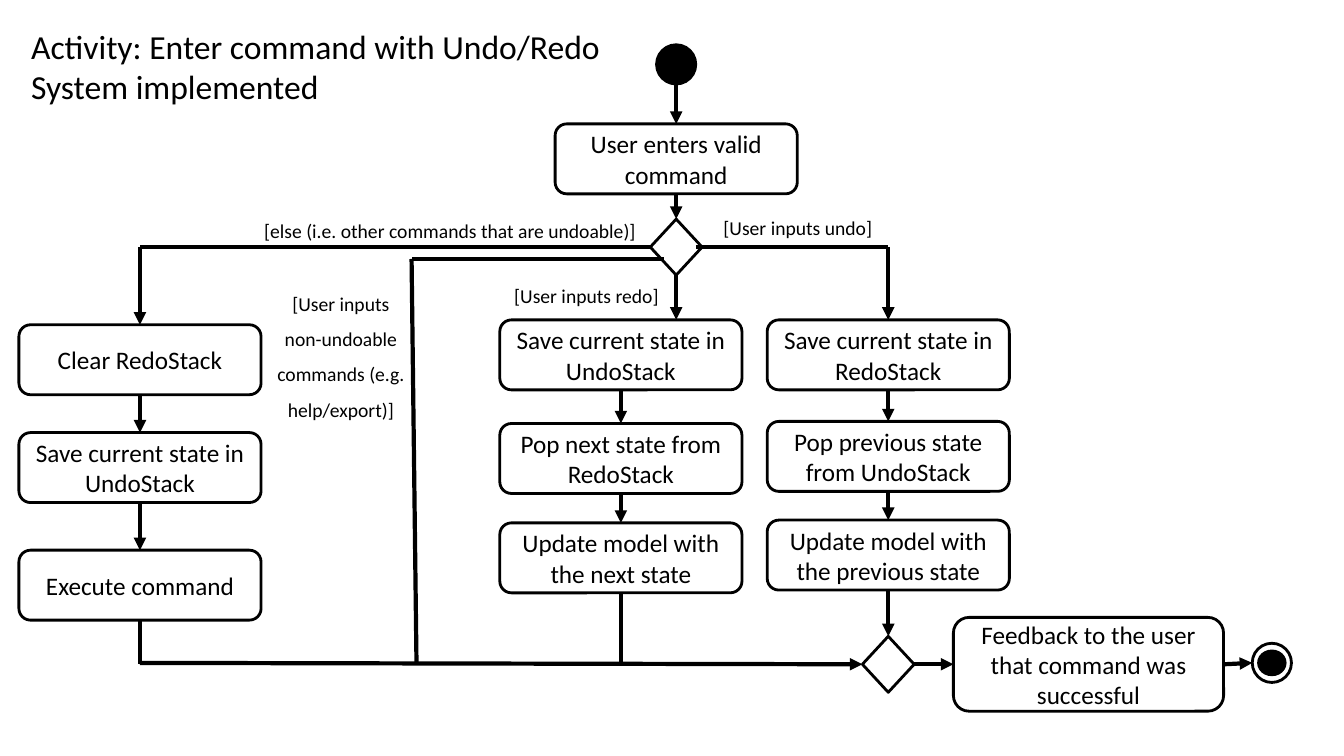
from dataclasses import dataclass

from lxml import etree
from pptx import Presentation
from pptx.dml.color import RGBColor
from pptx.enum.shapes import MSO_CONNECTOR, MSO_SHAPE
from pptx.enum.text import MSO_ANCHOR, MSO_AUTO_SIZE, PP_ALIGN
from pptx.oxml.ns import qn
from pptx.util import Pt

STRAIGHT = MSO_CONNECTOR.STRAIGHT
ROUNDED = MSO_SHAPE.ROUNDED_RECTANGLE
DIAMOND = MSO_SHAPE.FLOWCHART_DECISION
OVAL = MSO_SHAPE.OVAL
LEFT, CENTER = PP_ALIGN.LEFT, PP_ALIGN.CENTER
TOP, MIDDLE = MSO_ANCHOR.TOP, MSO_ANCHOR.MIDDLE
NO_AUTOFIT = MSO_AUTO_SIZE.NONE
TITLE_ONLY = 5


@dataclass(frozen=True)
class Theme:
    ink: RGBColor = RGBColor(0, 0, 0)
    font: str = "Calibri"
    title: int = 24
    action: int = 18
    guard: int = 14
    outline: int = 2
    flow: int = 3


THEME = Theme()
ACTION_W, ACTION_H = 173, 50
DIAMOND_W, DIAMOND_H = 37, 40
NODE = 28

MAIN_X, CLEAR_X, REDO_X, UNDO_X = 483, 100, 443.5, 634.5
BYPASS_TOP_X, BYPASS_END_X = 294, 297.5
START_Y, ENTER_Y, CHOICE_Y = 46, 113.5, 176.5
BYPASS_Y, JOIN_Y, MERGE_Y = 185, 473.5, 474.5
FEEDBACK_X, FEEDBACK_W, FEEDBACK_H = 777.5, 193, 67
END_X, END_Y = 908.5, 473.5

COLUMNS = [
    (CLEAR_X, [(232, "Clear RedoStack"),
               (309, "Save current state in UndoStack"),
               (393, "Execute command")]),
    (REDO_X, [(228.5, "Save current state in UndoStack"),
              (302.5, "Pop next state from RedoStack"),
              (373.5, "Update model with the next state")]),
    (UNDO_X, [(228.5, "Save current state in RedoStack"),
              (301, "Pop previous state from UndoStack"),
              (371.5, "Update model with the previous state")]),
]

GUARDS = [
    ("[else (i.e. other commands that are undoable)]", 140.5, 144.5, 362, 30),
    ("[User inputs non-undoable commands (e.g. help/export)]", 188.5, 196.5, 110, 107),
    ("[User inputs redo]", 336, 191, 166, 30),
    ("[User inputs undo]", 477.5, 142.5, 185, 30),
]


def write(frame, text, size=THEME.action, align=CENTER, anchor=MIDDLE, spacing=1.0):
    frame.word_wrap = True
    frame.auto_size = NO_AUTOFIT
    frame.vertical_anchor = anchor
    frame.text = text
    for paragraph in frame.paragraphs:
        paragraph.alignment = align
        paragraph.line_spacing = spacing
        paragraph.font.size = Pt(size)
        paragraph.font.name = THEME.font
        paragraph.font.color.rgb = THEME.ink


def add_title(slide, text):
    title = slide.shapes.title
    title.left, title.top, title.width, title.height = Pt(15), Pt(15), Pt(454), Pt(66)
    write(title.text_frame, text, size=THEME.title, align=LEFT, anchor=TOP)


def add_node(slide, kind, x, y, width, height, filled=False):
    node = slide.shapes.add_shape(
        kind, Pt(x - width / 2), Pt(y - height / 2), Pt(width), Pt(height))
    node.shadow.inherit = False
    if filled:
        node.fill.solid()
        node.fill.fore_color.rgb = THEME.ink
    else:
        node.fill.background()
    node.line.color.rgb = THEME.ink
    node.line.width = Pt(THEME.outline)
    return node


def add_action(slide, text, x, y, width=ACTION_W, height=ACTION_H):
    action = add_node(slide, ROUNDED, x, y, width, height)
    write(action.text_frame, text)


def add_guard(slide, text, left, top, width, height):
    guard = slide.shapes.add_textbox(Pt(left), Pt(top), Pt(width), Pt(height))
    write(guard.text_frame, text, size=THEME.guard, anchor=TOP, spacing=1.5)


def add_flow(slide, start, end, arrow=True):
    flow = slide.shapes.add_connector(
        STRAIGHT, Pt(start[0]), Pt(start[1]), Pt(end[0]), Pt(end[1]))
    flow.line.color.rgb = THEME.ink
    flow.line.width = Pt(THEME.flow)
    if arrow:
        etree.SubElement(flow.line._get_or_add_ln(), qn("a:tailEnd"), type="triangle")
    etree.SubElement(flow._element.spPr, qn("a:effectLst"))


def add_column(slide, x, steps):
    for top, text in steps:
        add_action(slide, text, x, top + ACTION_H / 2)
    for (upper, _), (lower, _) in zip(steps, steps[1:]):
        add_flow(slide, (x, upper + ACTION_H), (x, lower))


def add_entry(slide):
    choice_top = CHOICE_Y - DIAMOND_H / 2
    add_node(slide, OVAL, MAIN_X, START_Y, NODE, NODE, filled=True)
    add_action(slide, "User enters valid\ncommand", MAIN_X, ENTER_Y)
    add_node(slide, DIAMOND, MAIN_X, CHOICE_Y, DIAMOND_W, DIAMOND_H)
    add_flow(slide, (MAIN_X, START_Y + NODE / 2), (MAIN_X, ENTER_Y - ACTION_H / 2))
    add_flow(slide, (MAIN_X, ENTER_Y + ACTION_H / 2), (MAIN_X, choice_top))


def add_branches(slide):
    clear_top, redo_top, undo_top = [steps[0][0] for _, steps in COLUMNS]
    add_flow(slide, (MAIN_X - DIAMOND_W / 2, CHOICE_Y), (CLEAR_X, CHOICE_Y), arrow=False)
    add_flow(slide, (CLEAR_X, CHOICE_Y), (CLEAR_X, clear_top))
    add_flow(slide, (MAIN_X + 14, CHOICE_Y), (UNDO_X, CHOICE_Y), arrow=False)
    add_flow(slide, (UNDO_X, CHOICE_Y), (UNDO_X, undo_top))
    add_flow(slide, (MAIN_X, CHOICE_Y + DIAMOND_H / 2), (MAIN_X, redo_top))
    add_flow(slide, (MAIN_X - 9, BYPASS_Y), (BYPASS_TOP_X, BYPASS_Y), arrow=False)
    add_flow(slide, (BYPASS_TOP_X, BYPASS_Y), (BYPASS_END_X, JOIN_Y), arrow=False)


def add_finish(slide):
    clear_end, redo_end, undo_end = [steps[-1][0] + ACTION_H for _, steps in COLUMNS]
    feedback_left = FEEDBACK_X - FEEDBACK_W / 2
    add_node(slide, DIAMOND, UNDO_X, MERGE_Y, DIAMOND_W, DIAMOND_H)
    add_action(slide, "Feedback to the user that command was successful",
               FEEDBACK_X, MERGE_Y, width=FEEDBACK_W, height=FEEDBACK_H)
    add_node(slide, OVAL, END_X, END_Y, NODE, NODE)
    add_node(slide, OVAL, END_X, END_Y, 19, 17, filled=True)
    add_flow(slide, (CLEAR_X, clear_end), (CLEAR_X, MERGE_Y), arrow=False)
    add_flow(slide, (REDO_X, redo_end), (REDO_X, JOIN_Y), arrow=False)
    add_flow(slide, (UNDO_X, undo_end), (UNDO_X, MERGE_Y - DIAMOND_H / 2))
    add_flow(slide, (CLEAR_X, JOIN_Y), (UNDO_X - DIAMOND_W / 2, MERGE_Y))
    add_flow(slide, (UNDO_X + DIAMOND_W / 2, MERGE_Y), (feedback_left, MERGE_Y))
    add_flow(slide, (feedback_left + FEEDBACK_W, MERGE_Y), (END_X - NODE / 2, END_Y))


def main():
    deck = Presentation()
    deck.slide_width, deck.slide_height = Pt(960), Pt(540)
    slide = deck.slides.add_slide(deck.slide_layouts[TITLE_ONLY])
    add_title(slide, "Activity: Enter command with Undo/Redo System implemented")
    add_entry(slide)
    for x, steps in COLUMNS:
        add_column(slide, x, steps)
    add_branches(slide)
    add_finish(slide)
    for guard in GUARDS:
        add_guard(slide, *guard)
    deck.save("out.pptx")


if __name__ == "__main__":
    main()
